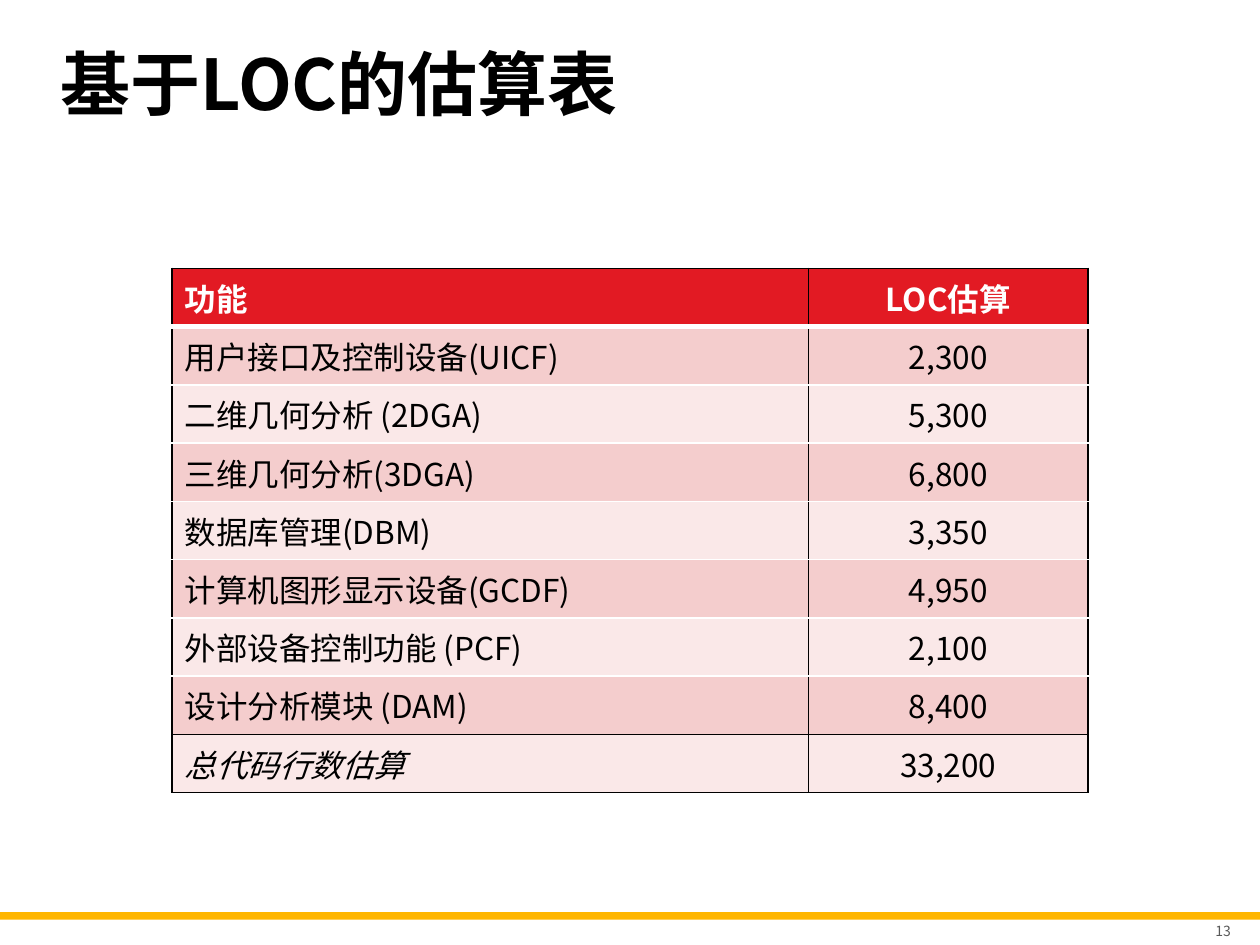
import pptx
import pptx.dml.color
import pptx.enum.shapes
import pptx.enum.text
import pptx.oxml
import pptx.oxml.ns
import pptx.util

Pt = pptx.util.Pt
ALIGN = pptx.enum.text.PP_ALIGN
MIDDLE = pptx.enum.text.MSO_ANCHOR.MIDDLE
FONT = "Noto Sans CJK SC"
COLORS = {
    "black": "000000",
    "white": "FFFFFF",
    "header": "E21A23",
    "odd": "F4CDCD",
    "even": "FAE8E8",
    "bar": "FFB600",
    "number": "595959",
}
HEADER = ("功能", "LOC估算")
ESTIMATES = [
    ("用户接口及控制设备(UICF)", 2300),
    ("二维几何分析 (2DGA)", 5300),
    ("三维几何分析(3DGA)", 6800),
    ("数据库管理(DBM)", 3350),
    ("计算机图形显示设备(GCDF)", 4950),
    ("外部设备控制功能 (PCF)", 2100),
    ("设计分析模块 (DAM)", 8400),
]
TOTAL_LABEL = "总代码行数估算"


def rgb(name):
    return pptx.dml.color.RGBColor.from_string(COLORS[name])


class Deck:
    def __init__(self, width, height):
        self.prs = pptx.Presentation()
        self.prs.slide_width, self.prs.slide_height = Pt(width), Pt(height)
        self.s = None

    def add_slide(self):
        self.s = self.prs.slides.add_slide(self.prs.slide_layouts[5])

    def style(self, tf, size, color, align=ALIGN.LEFT, bold=False, italic=False):
        for p in tf.paragraphs:
            p.alignment = align
            for r in p.runs:
                r.font.size, r.font.name = Pt(size), FONT
                r.font.bold, r.font.italic = bold, italic
                r.font.color.rgb = rgb(color)
                ea = pptx.oxml.parse_xml(
                    f'<a:ea {pptx.oxml.ns.nsdecls("a")} typeface="{FONT}"/>')
                r.font._element.append(ea)

    def bar(self, x, y, w, h, color):
        sp = self.s.shapes.add_shape(
            pptx.enum.shapes.MSO_SHAPE.RECTANGLE, Pt(x), Pt(y), Pt(w), Pt(h))
        sp.shadow.inherit = False
        sp.fill.solid()
        sp.fill.fore_color.rgb = rgb(color)
        sp.line.fill.background()

    def title(self, text, x, y, w, h):
        sp = self.s.shapes.title
        sp.left, sp.top, sp.width, sp.height = Pt(x), Pt(y), Pt(w), Pt(h)
        tf = sp.text_frame
        tf.text = text
        tf.vertical_anchor = MIDDLE
        tf.paragraphs[0].line_spacing = 0.9
        self.style(tf, 40, "black", bold=True)

    def page_number(self, text, x, y, w, h):
        tf = self.s.shapes.add_textbox(Pt(x), Pt(y), Pt(w), Pt(h)).text_frame
        tf.word_wrap = True
        tf.margin_left = tf.margin_right = Pt(3.6)
        tf.margin_top = tf.margin_bottom = Pt(3.6)
        tf.vertical_anchor = MIDDLE
        tf.text = text
        self.style(tf, 8, "number", ALIGN.RIGHT)

    def borders(self, cell, top, bottom):
        """Black sides; top and bottom are (colour, width) pairs."""
        side = ("black", 1)
        edges = {"L": side, "R": side, "T": top, "B": bottom}
        tc_pr = cell._tc.get_or_add_tcPr()
        for i, (edge, (color, width)) in enumerate(edges.items()):
            tc_pr.insert(i, pptx.oxml.parse_xml(
                f'<a:ln{edge} {pptx.oxml.ns.nsdecls("a")} w="{Pt(width)}">'
                f'<a:solidFill><a:srgbClr val="{COLORS[color]}"/></a:solidFill>'
                f'</a:ln{edge}>'))

    def table(self, rows, x, y, widths, row_height):
        """First row is the header, last row the total."""
        last = len(rows) - 1
        table = self.s.shapes.add_table(
            len(rows), len(widths), Pt(x), Pt(y),
            Pt(sum(widths)), Pt(row_height * len(rows))).table
        for column, width in zip(table.columns, widths):
            column.width = Pt(width)
        # rules[i] lies above row i, rules[i + 1] below it
        rules = [("white", 1)] * (len(rows) + 1)
        rules[0] = rules[last] = rules[last + 1] = ("black", 1)
        rules[1] = ("white", 3)
        for i, row in enumerate(rows):
            head = i == 0
            fill = "header" if head else "odd" if i % 2 else "even"
            for j, text in enumerate(row):
                cell = table.cell(i, j)
                cell.text_frame.text = text
                self.style(cell.text_frame, 18, "white" if head else "black",
                           ALIGN.CENTER if j else ALIGN.LEFT,
                           bold=head, italic=i == last and j == 0)
                cell.fill.solid()
                cell.fill.fore_color.rgb = rgb(fill)
                self.borders(cell, rules[i], rules[i + 1])


def main():
    deck = Deck(720, 540)
    deck.add_slide()
    deck.bar(0, 521.3, 720, 4.3, "bar")
    deck.title("基于LOC的估算表", 27.4, 23.8, 666, 53.3)
    total = sum(loc for _, loc in ESTIMATES)
    body = [(name, f"{loc:,}") for name, loc in ESTIMATES + [(TOTAL_LABEL, total)]]
    deck.table([HEADER] + body, 98.4, 153.4, (363.6, 159.8), 29.2)
    deck.page_number("13", 679, 525.6, 28, 13)
    deck.prs.save("out.pptx")


if __name__ == "__main__":
    main()
